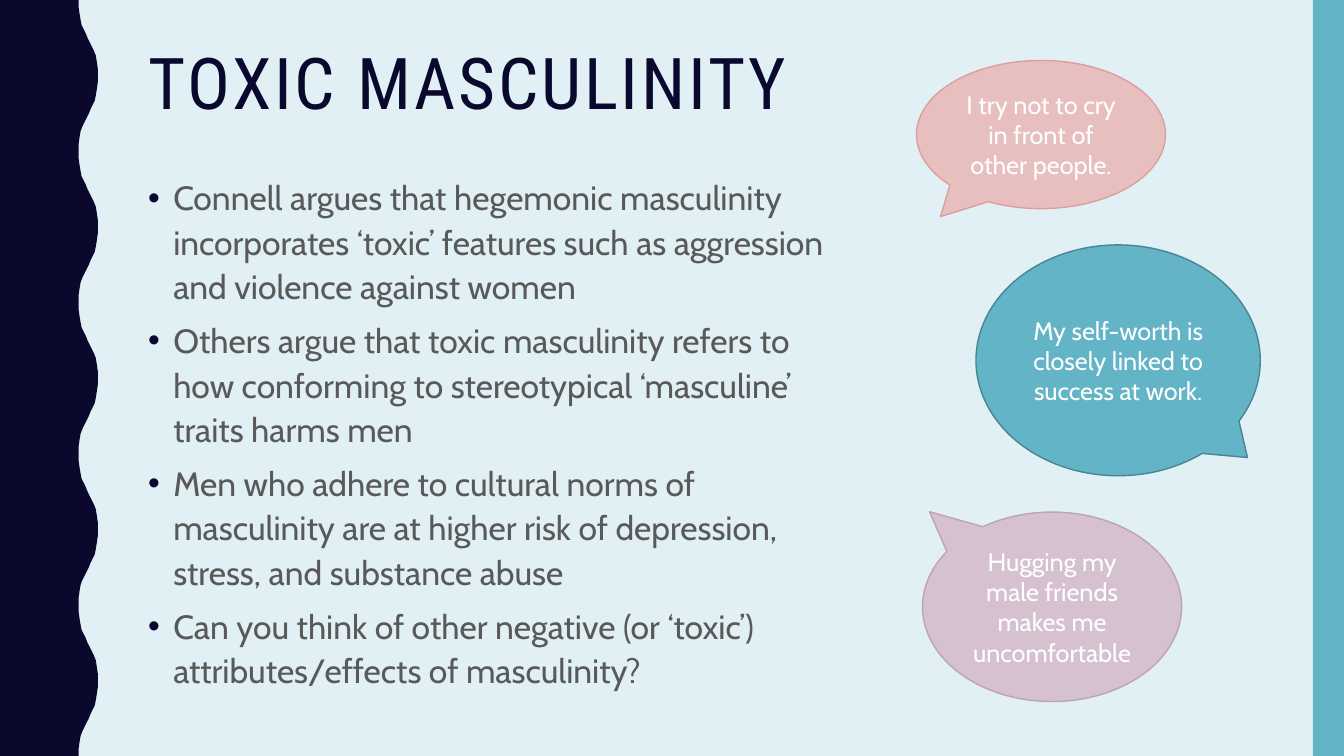
from lxml.etree import SubElement
from pptx import Presentation
from pptx.dml.color import RGBColor
from pptx.enum.shapes import MSO_SHAPE
from pptx.enum.text import MSO_ANCHOR, MSO_AUTO_SIZE, PP_ALIGN
from pptx.oxml.ns import qn
from pptx.util import Inches, Pt

NAVY = RGBColor(0x0B, 0x08, 0x2E)
TEAL = RGBColor(0x62, 0xB4, 0xC6)
DARK_TEAL = RGBColor(0x49, 0x85, 0x92)
PALE_BLUE = RGBColor(0xE0, 0xF0, 0xF4)
GREY = RGBColor(0x59, 0x59, 0x59)
PINK = RGBColor(0xE8, 0xBF, 0xBF)
ROSE = RGBColor(0xDD, 0x9E, 0x9E)
LILAC = RGBColor(0xD5, 0xC1, 0xD0)
MAUVE = RGBColor(0xC1, 0xA1, 0xB9)
WHITE = RGBColor(0xFF, 0xFF, 0xFF)

SLIDE_WIDTH, SLIDE_HEIGHT = 13.33, 7.5
WAVE_PERIOD = 1.5
HALF_WAVE = [
    (0.78, 0), (0.78, 0.07), (0.79, 0.14), (0.8, 0.2), (0.81, 0.25),
    (0.83, 0.29), (0.85, 0.33), (0.87, 0.38), (0.89, 0.42), (0.91, 0.46),
    (0.93, 0.5), (0.95, 0.55), (0.96, 0.61), (0.97, 0.68),
]

ARGUMENTS = [
    "Connell argues that hegemonic masculinity incorporates ‘toxic’ features "
    "such as aggression and violence against women",
    "Others argue that toxic masculinity refers to how conforming to "
    "stereotypical ‘masculine’ traits harms men",
    "Men who adhere to cultural norms of masculinity are at higher risk of "
    "depression, stress, and substance abuse",
    "Can you think of other negative (or ‘toxic’) attributes/effects of masculinity?",
]

QUOTES = [
    ("I try not to cry in front of other people.",
     (9.09, 0.6, 2.47, 1.47), (-0.403, 0.554), PINK, ROSE),
    ("Hugging my male friends makes me uncomfortable",
     (9.15, 5.08, 2.57, 1.88), (-0.473, -0.502), LILAC, MAUVE),
    ("My self-worth is closely linked to success at work.",
     (9.68, 2.43, 2.82, 2.29), (0.455, 0.421), TEAL, DARK_TEAL),
]


class SlideBuilder:
    heading_font = "Roboto Condensed"
    body_font = "Cabin"

    def __init__(self, slide):
        self.slide = slide
        slide.background.fill.solid()
        slide.background.fill.fore_color.rgb = PALE_BLUE

    def paint(self, shape, fill, outline=None):
        shape.shadow.inherit = False
        shape.fill.solid()
        shape.fill.fore_color.rgb = fill
        if outline is None:
            shape.line.fill.background()
        else:
            shape.line.color.rgb = outline
            shape.line.width = Pt(1)

    def run(self, paragraph, text, size, color, font=body_font):
        run = paragraph.add_run()
        run.text = text
        run.font.size = Pt(size)
        run.font.name = font
        run.font.color.rgb = color
        return run

    def wave(self):
        edge = []
        for period in range(round(SLIDE_HEIGHT / WAVE_PERIOD)):
            top = period * WAVE_PERIOD
            edge += [(x, top + y) for x, y in HALF_WAVE]
            edge += [(1.75 - x, top + WAVE_PERIOD / 2 + y) for x, y in HALF_WAVE]
        edge += [(0.78, SLIDE_HEIGHT), (0, SLIDE_HEIGHT)]
        outline = self.slide.shapes.build_freeform(0, 0)
        outline.add_line_segments([(Inches(x), Inches(y)) for x, y in edge], close=True)
        self.paint(outline.convert_to_shape(), NAVY)

    def bar(self, place, fill):
        bar = self.slide.shapes.add_shape(MSO_SHAPE.RECTANGLE, *map(Inches, place))
        self.paint(bar, fill)

    def title(self, text, place):
        heading = self.slide.shapes.title
        heading.left, heading.top, heading.width, heading.height = map(Inches, place)
        frame = heading.text_frame
        frame.auto_size = MSO_AUTO_SIZE.NONE
        frame.word_wrap = True
        frame.vertical_anchor = MSO_ANCHOR.TOP
        paragraph = frame.paragraphs[0]
        paragraph.alignment = PP_ALIGN.LEFT
        paragraph.line_spacing = 0.9
        run = self.run(paragraph, text, 51, NAVY, self.heading_font)
        run.font._element.set("spc", "200")

    def bullets(self, texts, place):
        frame = self.slide.shapes.add_textbox(*map(Inches, place)).text_frame
        frame.word_wrap = True
        for index, text in enumerate(texts):
            paragraph = frame.add_paragraph() if index else frame.paragraphs[0]
            paragraph.line_spacing = 1.1
            paragraph.space_before = Pt(7)
            properties = paragraph._p.get_or_add_pPr()
            properties.set("marL", str(Inches(0.25)))
            properties.set("indent", str(-Inches(0.25)))
            bullet_color = SubElement(properties, qn("a:buClr"))
            SubElement(bullet_color, qn("a:srgbClr"), val=str(NAVY))
            SubElement(properties, qn("a:buFont"), typeface="Arial")
            SubElement(properties, qn("a:buChar"), char="•")
            self.run(paragraph, text, 24, GREY)

    def callout(self, text, place, tip, fill, outline):
        bubble = self.slide.shapes.add_shape(MSO_SHAPE.OVAL_CALLOUT, *map(Inches, place))
        bubble.adjustments[0], bubble.adjustments[1] = tip
        self.paint(bubble, fill, outline)
        frame = bubble.text_frame
        frame.word_wrap = True
        frame.vertical_anchor = MSO_ANCHOR.MIDDLE
        paragraph = frame.paragraphs[0]
        paragraph.alignment = PP_ALIGN.CENTER
        self.run(paragraph, text, 18, WHITE)


def main():
    deck = Presentation()
    deck.slide_width = Inches(SLIDE_WIDTH)
    deck.slide_height = Inches(SLIDE_HEIGHT)
    builder = SlideBuilder(deck.slides.add_slide(deck.slide_layouts[5]))
    builder.wave()
    builder.bar((13.02, 0, 0.31, SLIDE_HEIGHT), TEAL)
    builder.title("TOXIC MASCULINITY", (1.37, 0.42, 11.13, 1.63))
    builder.bullets(ARGUMENTS, (1.37, 1.67, 6.91, 5.83))
    for quote in QUOTES:
        builder.callout(*quote)
    deck.save("out.pptx")


if __name__ == "__main__":
    main()
